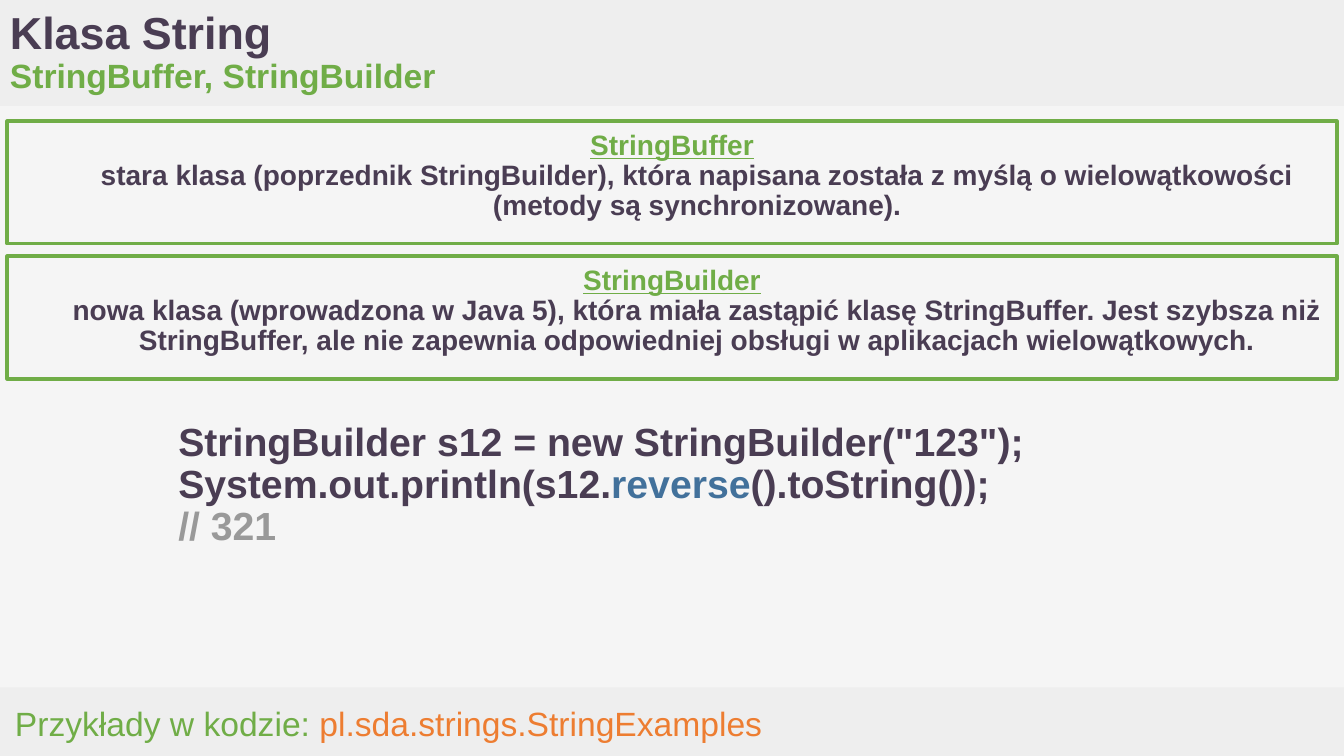
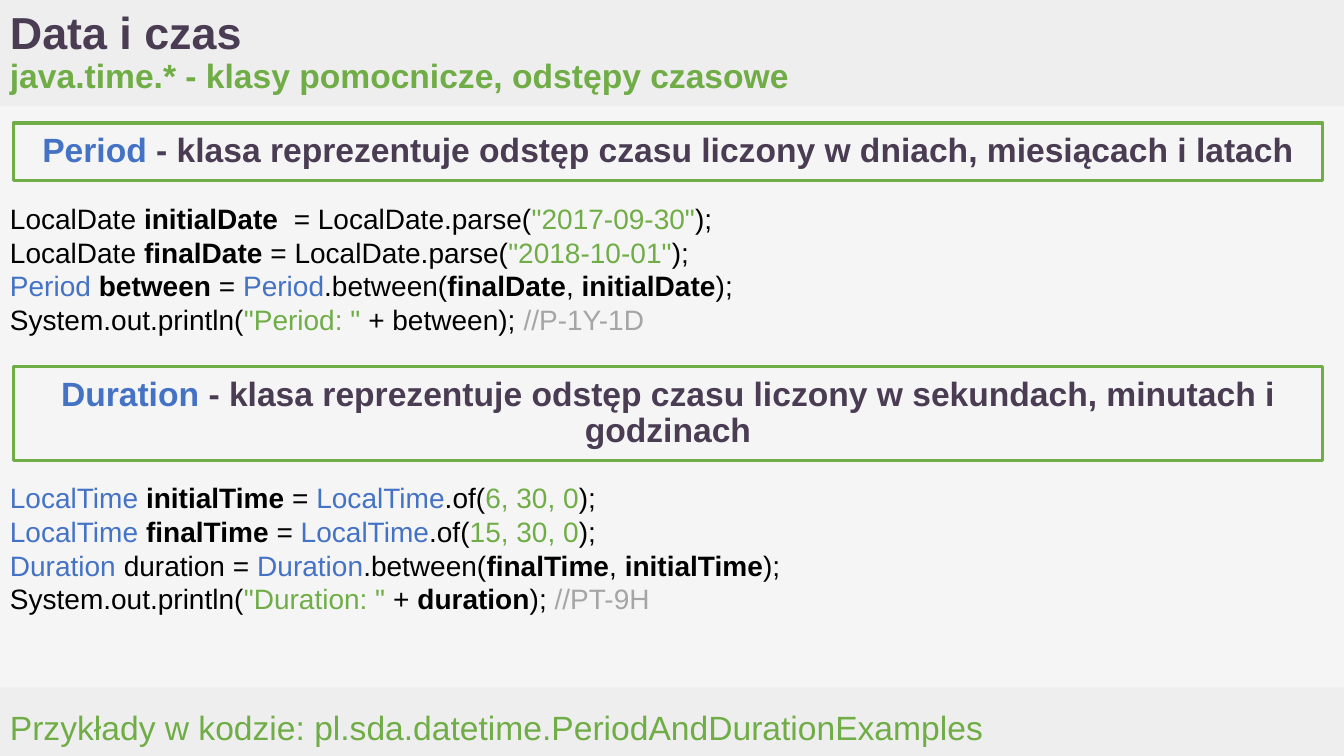
from pptx import Presentation
from pptx.dml.color import RGBColor
from pptx.enum.shapes import MSO_SHAPE
from pptx.enum.text import MSO_ANCHOR, PP_ALIGN
from pptx.util import Inches, Pt

# Shared style
FONT = "Arial"
SLIDE_WIDTH, SLIDE_HEIGHT = 13.33, 7.5
HEADER_HEIGHT, FOOTER_HEIGHT = 1.05, 0.68
BACKGROUND, BAND = "F5F5F5", "EEEEEE"
PLUM, GREEN, ORANGE = "4A3D53", "70AD47", "ED7D31"
BLUE, STEEL, BLACK = "4472C4", "42719B", "000000"
GRAY, LIGHT_GRAY = "999999", "A5A5A5"


def color(value):
    return RGBColor.from_string(value)


def prepare_frame(shape, anchor=MSO_ANCHOR.TOP):
    frame = shape.text_frame
    frame.word_wrap = True
    frame.vertical_anchor = anchor
    frame.margin_left = frame.margin_right = Inches(0.1)
    frame.margin_top = frame.margin_bottom = Inches(0.1)
    return frame


def add_paragraph(frame, runs, size, bold=None, align=PP_ALIGN.LEFT, spacing=None):
    """Write runs of (text, color) or (text, color, bold) as the next paragraph."""
    first = frame.paragraphs[0]
    paragraph = frame.add_paragraph() if first.runs else first
    paragraph.alignment = align
    paragraph.line_spacing = spacing
    paragraph.font.name = FONT
    paragraph.font.size = Pt(size)
    paragraph.font.bold = bold
    one_color = len({run[1] for run in runs}) == 1
    if one_color:
        paragraph.font.color.rgb = color(runs[0][1])
    for text, run_color, *emphasis in runs:
        run = paragraph.add_run()
        run.text = text
        if not one_color:
            run.font.color.rgb = color(run_color)
        if emphasis:
            run.font.bold = emphasis[0]
    return paragraph


def add_rectangle(slide, box, fill=None, line=None):
    shape = slide.shapes.add_shape(MSO_SHAPE.RECTANGLE, *map(Inches, box))
    shape.shadow.inherit = False
    if fill:
        shape.fill.solid()
        shape.fill.fore_color.rgb = color(fill)
    else:
        shape.fill.background()
    if line:
        shape.line.color.rgb = color(line)
        shape.line.width = Pt(2.25)
    else:
        shape.line.fill.background()
    return shape


def add_text(slide, box, lines, size, anchor=MSO_ANCHOR.TOP, **style):
    frame = prepare_frame(slide.shapes.add_textbox(*map(Inches, box)), anchor)
    for runs in lines:
        add_paragraph(frame, runs, size, **style)


def add_base_slide(presentation, title, subtitle, footer_box, footer_runs):
    """Background, both bands, title and footer."""
    slide = presentation.slides.add_slide(presentation.slide_layouts[6])
    slide.background.fill.solid()
    slide.background.fill.fore_color.rgb = color(BACKGROUND)
    footer_top = SLIDE_HEIGHT - FOOTER_HEIGHT
    add_rectangle(slide, (0, footer_top, SLIDE_WIDTH, FOOTER_HEIGHT), fill=BAND)
    add_rectangle(slide, (0, 0, SLIDE_WIDTH, HEADER_HEIGHT), fill=BAND)

    title_box = slide.shapes.add_textbox(0, 0, Inches(11.92), Inches(HEADER_HEIGHT))
    frame = prepare_frame(title_box, MSO_ANCHOR.MIDDLE)
    for text, text_color, size in ((title, PLUM, 32), (subtitle, GREEN, 24)):
        add_paragraph(frame, [(text, text_color)], size, bold=True, spacing=0.9)

    add_text(slide, footer_box, [footer_runs], 24, MSO_ANCHOR.MIDDLE)
    return slide


def add_class_box(slide, box, name, description):
    """Framed box with an underlined class name above its description."""
    frame = prepare_frame(add_rectangle(slide, box, line=GREEN))
    style = {"size": 20, "bold": True, "align": PP_ALIGN.CENTER, "spacing": 0.9}
    heading = add_paragraph(frame, [(name, GREEN)], **style)
    heading.font.underline = True
    body = add_paragraph(frame, [(description, PLUM)], **style)
    properties = body._p.get_or_add_pPr()
    properties.set("marL", str(Inches(0.5)))
    properties.set("indent", "0")


def add_definition_box(slide, box, name, description):
    """Framed box with a class name and its definition in one sentence."""
    frame = prepare_frame(add_rectangle(slide, box, line=GREEN))
    runs = [(name + " ", BLUE), ("- " + description, PLUM)]
    add_paragraph(frame, runs, 24, bold=True, align=PP_ALIGN.CENTER, spacing=0.9)


def between_call(class_name, variable_run, final, initial):
    """Runs of the code line that measures the gap between two values."""
    return [(class_name + " ", BLUE), variable_run, ("= ", BLACK),
            (class_name, BLUE), (".between(", BLACK), (final, BLACK, True),
            (", ", BLACK), (initial, BLACK, True), (");", BLACK)]


def local_date(variable, equals, value):
    return [("LocalDate ", BLACK), (variable + " ", BLACK, True),
            (equals + "LocalDate.parse(", BLACK), (value, GREEN), (");", BLACK)]


def local_time(variable, value):
    return [("LocalTime ", BLUE), (variable + " ", BLACK, True), ("= ", BLACK),
            ("LocalTime", BLUE), (".of(", BLACK), (value, GREEN), (");", BLACK)]


def build_string_slide(presentation):
    slide = add_base_slide(
        presentation, "Klasa String", "StringBuffer, StringBuilder",
        (0.05, 6.84, 12.75, 0.66),
        [("Przykłady w kodzie: ", GREEN), ("pl.sda.strings.StringExamples", ORANGE)])

    # Code sample
    add_text(slide, (1.67, 4.09, 10, 2.12), [
        [('StringBuilder s12 = new StringBuilder("123");', PLUM)],
        [("System.out.println(s12.", PLUM), ("reverse", STEEL),
         ("().toString());", PLUM)],
        [("// 321", GRAY)],
    ], 28, bold=True, spacing=0.9)

    # Two classes
    classes = [
        ("StringBuffer",
         "stara klasa (poprzednik StringBuilder), która napisana została z myślą "
         "o wielowątkowości (metody są synchronizowane)."),
        ("StringBuilder",
         "nowa klasa (wprowadzona w Java 5), która miała zastąpić klasę "
         "StringBuffer. Jest szybsza niż StringBuffer, ale nie zapewnia "
         "odpowiedniej obsługi w aplikacjach wielowątkowych."),
    ]
    for index, (name, description) in enumerate(classes):
        box = (0.07, 1.2 + 1.34 * index, 13.19, 1.22)
        add_class_box(slide, box, name, description)


def build_time_slide(presentation):
    slide = add_base_slide(
        presentation, "Data i czas",
        "java.time.* - klasy pomocnicze, odstępy czasowe",
        (0, 6.88, 10.9, 0.67),
        [("Przykłady w kodzie: pl.sda.datetime.PeriodAndDurationExamples", GREEN)])

    # Period
    add_definition_box(
        slide, (0.13, 1.22, 12.99, 0.57), "Period",
        "klasa reprezentuje odstęp czasu liczony w dniach, miesiącach i latach")
    add_text(slide, (0, 1.9, 12.99, 1.7), [
        local_date("initialDate", " = ", '"2017-09-30"'),
        local_date("finalDate", "= ", '"2018-10-01"'),
        between_call("Period", ("between ", BLACK, True), "finalDate", "initialDate"),
        [("System.out.println(", BLACK), ('"Period: "', GREEN),
         (" + between); ", BLACK), ("//P-1Y-1D", LIGHT_GRAY)],
    ], 20)

    # Duration
    add_definition_box(
        slide, (0.13, 3.64, 12.99, 0.93), "Duration",
        "klasa reprezentuje odstęp czasu liczony w sekundach, minutach i godzinach")
    add_text(slide, (0, 4.67, 12.9, 1.51), [
        local_time("initialTime", "6, 30, 0"),
        local_time("finalTime", "15, 30, 0"),
        between_call("Duration", ("duration ", BLACK), "finalTime", "initialTime"),
        [("System.out.println(", BLACK), ('"Duration: "', GREEN), (" + ", BLACK),
         ("duration", BLACK, True), ("); ", BLACK), ("//PT-9H", LIGHT_GRAY)],
    ], 20)


def main():
    presentation = Presentation()
    presentation.slide_width = Inches(SLIDE_WIDTH)
    presentation.slide_height = Inches(SLIDE_HEIGHT)
    build_string_slide(presentation)
    build_time_slide(presentation)
    presentation.save("out.pptx")


if __name__ == "__main__":
    main()
